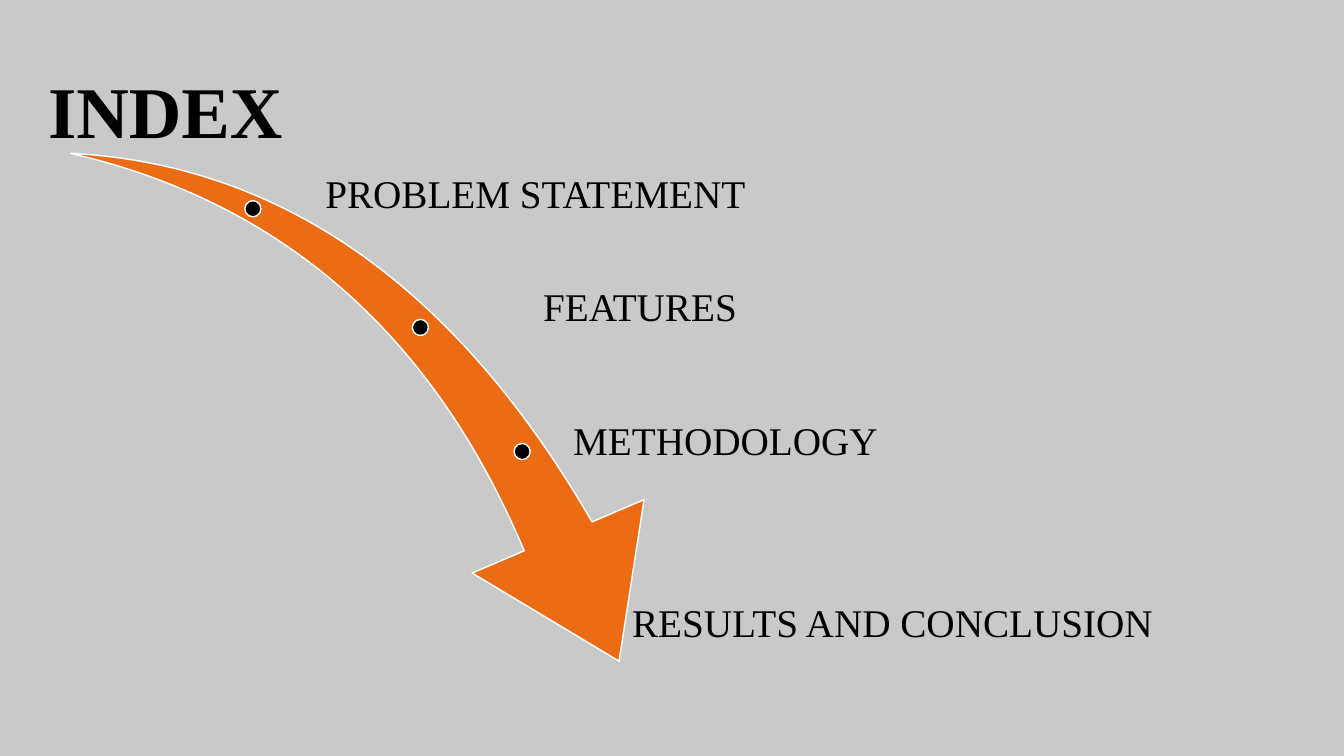
from dataclasses import dataclass

from pptx import Presentation
from pptx import util as u
from pptx.dml.color import RGBColor
from pptx.enum import shapes, text


@dataclass(frozen=True)
class Theme:
    """Colours, font and type sizes of the slide."""
    background: RGBColor = RGBColor(0xC9, 0xC9, 0xC9)
    arrow: RGBColor = RGBColor(0xEB, 0x6C, 0x15)
    ink: RGBColor = RGBColor(0, 0, 0)
    outline: RGBColor = RGBColor(0xFF, 0xFF, 0xFF)
    font: str = "Times New Roman"
    title: u.Pt = u.Pt(52)
    label: u.Pt = u.Pt(28)


@dataclass(frozen=True)
class Box:
    """A rectangle whose contents are placed by percentages of its size."""
    x: float
    y: float
    w: float
    h: float

    def point(self, across, down):
        """Return the point at the given percentages of the box."""
        return self.x + self.w * across / 100, self.y + self.h * down / 100

    def inner(self, across, down, wide, high):
        """Return the inner box at the given percentages."""
        x, y = self.point(across, down)
        return Box(x, y, self.w * wide / 100, self.h * high / 100)

    def frame(self):
        """Return left, top, width and height as whole lengths."""
        return [u.Emu(round(v)) for v in (self.x, self.y, self.w, self.h)]


THEME = Theme()
DOT = u.Inches(0.16)
LABEL_HEIGHT = u.Inches(0.6)
STOPS = [(30.5, 8.1), (56.5, 34.5), (72.3, 62.1)]
TOPICS = [
    ("PROBLEM STATEMENT", 0, 8.1),
    ("FEATURES", 23.3, 30.1),
    ("METHODOLOGY", 26.5, 56.2),
    ("RESULTS AND CONCLUSION", 32.8, 91.6),
]


def set_text(sp, words, size, align, bold=False):
    """Fill a shape with one vertically centred line of text."""
    tf = sp.text_frame
    tf.text = words
    tf.word_wrap = True
    tf.auto_size = text.MSO_AUTO_SIZE.NONE
    tf.vertical_anchor = text.MSO_ANCHOR.MIDDLE
    tf.margin_left = tf.margin_right = tf.margin_top = tf.margin_bottom = 0
    p = tf.paragraphs[0]
    p.alignment = align
    p.font.name, p.font.size, p.font.bold = THEME.font, size, bold
    p.font.color.rgb = THEME.ink


def add_outlined(s, kind, box, fill):
    """Add a filled preset shape with a thin light outline."""
    sp = s.shapes.add_shape(kind, *box.frame())
    sp.shadow.inherit = False
    sp.fill.solid()
    sp.fill.fore_color.rgb = fill
    sp.line.color.rgb = THEME.outline
    sp.line.width = u.Pt(1)
    return sp


def add_title(s, box):
    """Place the slide heading in its placeholder."""
    sp = s.shapes.title
    sp.left, sp.top, sp.width, sp.height = box.frame()
    set_text(sp, "INDEX", THEME.title, text.PP_ALIGN.CENTER, bold=True)


def add_arrow(s, box):
    """Draw the falling arrow and the stops along it."""
    sp = add_outlined(s, shapes.MSO_SHAPE.SWOOSH_ARROW, box, THEME.arrow)
    sp.adjustments[0], sp.adjustments[1] = 0.163, 0.314
    sp.rotation = 73.3
    for stop in STOPS:
        x, y = box.point(*stop)
        dot = Box(x - DOT / 2, y - DOT / 2, DOT, DOT)
        add_outlined(s, shapes.MSO_SHAPE.OVAL, dot, THEME.ink)


def add_topics(s, box):
    """Set the topic labels from their left edges and middle heights."""
    for words, across, down in TOPICS:
        x, y = box.point(across, down)
        label = Box(x, y - LABEL_HEIGHT / 2, box.x + box.w - x, LABEL_HEIGHT)
        sp = s.shapes.add_textbox(*label.frame())
        set_text(sp, words, THEME.label, text.PP_ALIGN.LEFT)


def add_index_slide(prs, box):
    """Build the index slide from its three regions."""
    s = prs.slides.add_slide(prs.slide_layouts[5])
    s.background.fill.solid()
    s.background.fill.fore_color.rgb = THEME.background
    add_title(s, box.inner(1, 8, 22.6, 13))
    add_arrow(s, box.inner(4.2, 22.8, 47.93, 59.47))
    add_topics(s, box.inner(24.2, 20, 69.6, 68))


def main():
    """Create and save the presentation."""
    prs = Presentation()
    prs.slide_width, prs.slide_height = u.Inches(13.33), u.Inches(7.5)
    add_index_slide(prs, Box(0, 0, prs.slide_width, prs.slide_height))
    prs.save("out.pptx")


if __name__ == "__main__":
    main()
